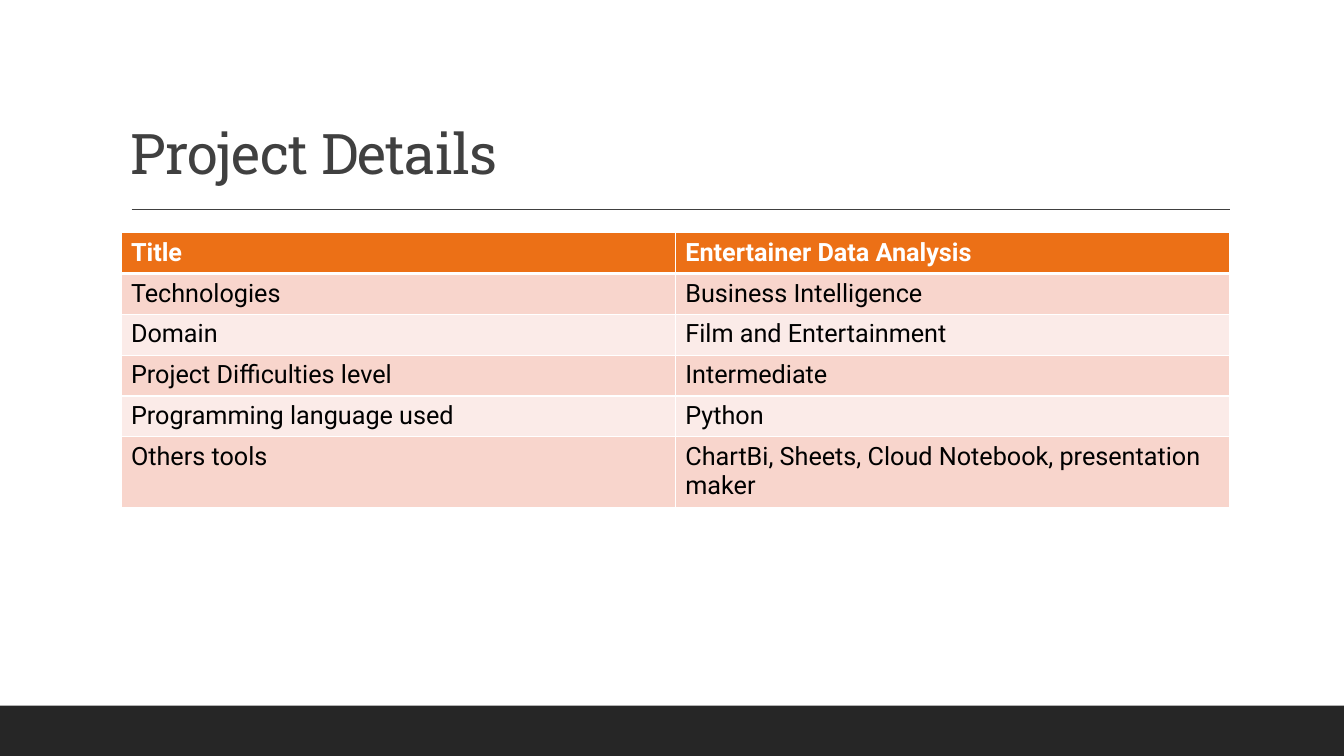
import pptx
import pptx.dml.color
import pptx.enum.shapes
import pptx.enum.text
import pptx.oxml
import pptx.oxml.ns
import pptx.util
from dataclasses import dataclass

PROJECT_DETAILS = [
    ("Title", "Entertainer Data Analysis"),
    ("Technologies", "Business Intelligence"),
    ("Domain", "Film and Entertainment"),
    ("Project Difficulties level", "Intermediate"),
    ("Programming language used", "Python"),
    ("Others tools", "ChartBi, Sheets, Cloud Notebook, presentation maker"),
]


@dataclass(frozen=True)
class Theme:
    title_font: str = "Roboto Slab"
    body_font: str = "Roboto"
    title_size: int = 40
    body_size: int = 18
    dark: str = "262626"
    title: str = "404040"
    header: str = "EC7016"
    bands: tuple = ("F8D5CC", "FBEBE8")
    white: str = "FFFFFF"
    black: str = "000000"
    thin: int = 1
    thick: int = 3


THEME = Theme()
WIDTH, HEIGHT = pptx.util.Inches(13.33), pptx.util.Inches(7.5)
LEFT, CONTENT_WIDTH = 0.09 * WIDTH, 0.825 * WIDTH
ROW_HEIGHT = 0.054 * HEIGHT


def color(value):
    return pptx.dml.color.RGBColor.from_string(value)


def style_font(font, name, size, value, bold=False):
    font.name, font.size, font.bold = name, pptx.util.Pt(size), bold
    font.color.rgb = color(value)


def add_footer_band(slide):
    top = int(HEIGHT * 14 / 15)
    band = slide.shapes.add_shape(
        pptx.enum.shapes.MSO_SHAPE.RECTANGLE, 0, top, WIDTH, HEIGHT - top)
    band.shadow.inherit = False
    band.fill.solid()
    band.fill.fore_color.rgb = color(THEME.dark)
    band.line.fill.background()


def add_rule(slide, left, right, top):
    rule = slide.shapes.add_connector(
        pptx.enum.shapes.MSO_CONNECTOR.STRAIGHT,
        int(left), int(top), int(right), int(top))
    rule.line.color.rgb = color(THEME.title)
    rule.line.width = pptx.util.Pt(THEME.thin)
    properties = rule._element.spPr
    properties.append(pptx.oxml.parse_xml(
        f'<a:effectLst {pptx.oxml.ns.nsdecls("a")}/>'))


def add_title(slide, text, top, height):
    box = slide.shapes.add_textbox(
        int(LEFT), int(top), int(CONTENT_WIDTH), int(height))
    frame = box.text_frame
    frame.word_wrap = True
    frame.vertical_anchor = pptx.enum.text.MSO_ANCHOR.BOTTOM
    para = frame.paragraphs[0]
    para.line_spacing = 0.9
    span = para.add_run()
    span.text = text
    style_font(para.font, THEME.title_font, THEME.title_size, THEME.title)
    span.font._element.set("spc", "-50")


def set_borders(cell, top, bottom):
    """Draw white cell borders; top and bottom are widths in points."""
    properties = cell._tc.get_or_add_tcPr()
    sides = (("L", THEME.thin), ("R", THEME.thin), ("T", top), ("B", bottom))
    for index, (side, width) in enumerate(sides):
        properties.insert(index, pptx.oxml.parse_xml(
            f'<a:ln{side} {pptx.oxml.ns.nsdecls("a")} w="{pptx.util.Pt(width)}">'
            f'<a:solidFill><a:srgbClr val="{THEME.white}"/></a:solidFill>'
            f'</a:ln{side}>'))


def fill_cell(cell, text, row_index):
    is_header = row_index == 0
    cell.text = text
    style_font(cell.text_frame.paragraphs[0].font, THEME.body_font,
               THEME.body_size, THEME.white if is_header else THEME.black,
               is_header)
    cell.fill.solid()
    cell.fill.fore_color.rgb = color(
        THEME.header if is_header else THEME.bands[(row_index - 1) % 2])
    set_borders(cell,
                top=THEME.thick if row_index == 1 else THEME.thin,
                bottom=THEME.thick if is_header else THEME.thin)


def add_details_table(slide, rows, top):
    table = slide.shapes.add_table(
        len(rows), len(rows[0]), int(LEFT), int(top),
        int(CONTENT_WIDTH), int(ROW_HEIGHT * len(rows))).table
    for row_index, texts in enumerate(rows):
        for column_index, text in enumerate(texts):
            fill_cell(table.cell(row_index, column_index), text, row_index)


def main():
    deck = pptx.Presentation()
    deck.slide_width, deck.slide_height = WIDTH, HEIGHT
    slide = deck.slides.add_slide(deck.slide_layouts[6])
    add_footer_band(slide)
    add_rule(slide, 0.098 * WIDTH, LEFT + CONTENT_WIDTH, 0.277 * HEIGHT)
    add_title(slide, "Project Details", 0.041 * HEIGHT, 0.212 * HEIGHT)
    add_details_table(slide, PROJECT_DETAILS, 0.308 * HEIGHT)
    deck.save("out.pptx")


if __name__ == "__main__":
    main()
